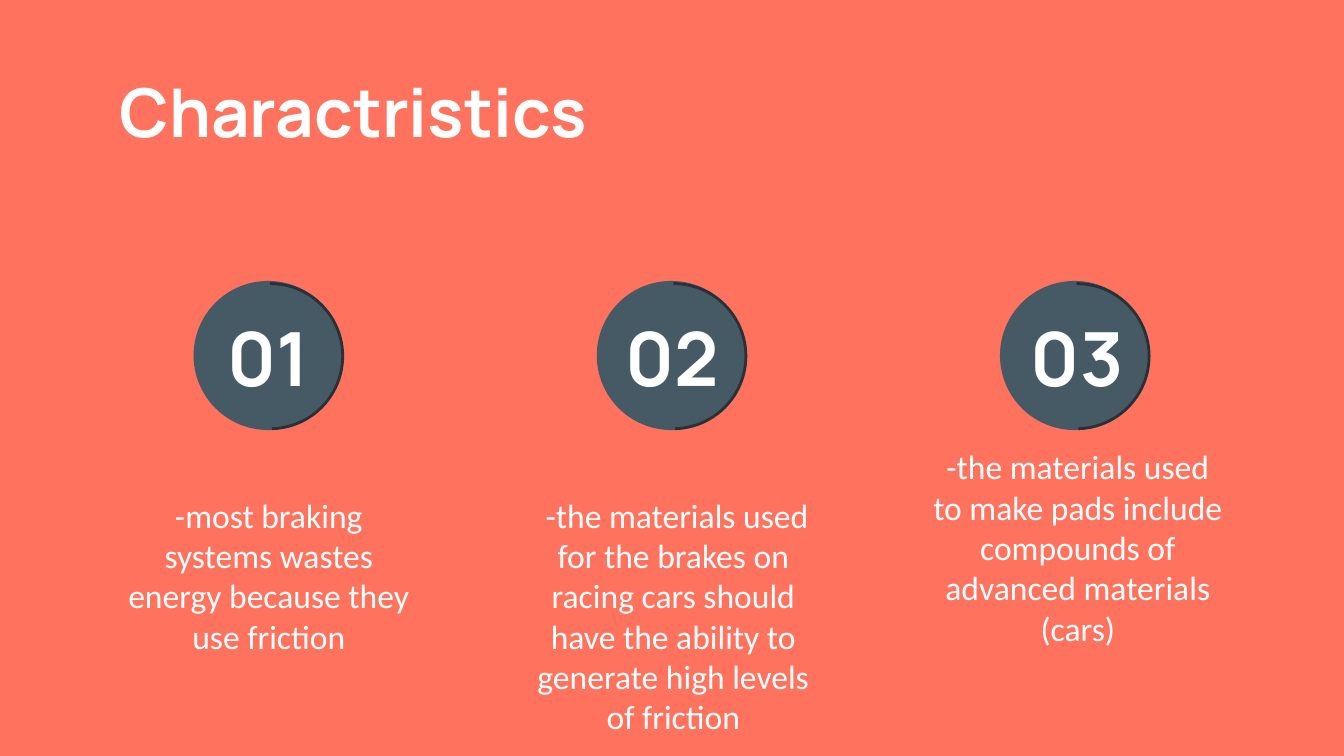
from pptx import Presentation
from pptx.dml.color import RGBColor
from pptx.enum.shapes import MSO_SHAPE
from pptx.enum.text import MSO_ANCHOR, PP_ALIGN
from pptx.util import Inches, Pt

HEADING = "Charactristics"
# number, description, top of description
CHARACTERISTICS = [
    ("01", "-most braking systems wastes energy because they use friction", 3.58),
    ("02", " -the materials used for the brakes on racing cars should have "
           "the ability to generate high levels of friction", 3.58),
    ("03", "-the materials used to make pads include compounds of "
           "advanced materials (cars)", 3.22),
]
CORAL, SLATE, DARK, WHITE = "FF725E", "455A64", "263238", "FFFFFF"
WIDTH, MARGIN = 10, 0.79
HEIGHT = WIDTH * 9 / 16
CIRCLE_LEFT, CIRCLE_PITCH = 1.44, 3
CIRCLE_TOP, CIRCLE_SIZE, ARC_SIZE = 2.09, 1.11, 1.08
NUMBER_LEFT, TEXT_PITCH = 1.51, 3.01


def color(hex_code):
    return RGBColor.from_string(hex_code)


def add_text(text, left, top, width, height, size, font, bold=False,
             align=PP_ALIGN.LEFT, anchor=MSO_ANCHOR.TOP):
    frame = slide.shapes.add_textbox(
        Inches(left), Inches(top), Inches(width), Inches(height)).text_frame
    frame.word_wrap = True
    frame.vertical_anchor = anchor
    frame.margin_left = frame.margin_right = Inches(0.1)
    frame.margin_top = frame.margin_bottom = Inches(0.1)
    paragraph = frame.paragraphs[0]
    paragraph.text = text
    paragraph.alignment = align
    paragraph.font.size = Pt(size)
    paragraph.font.name = font
    paragraph.font.bold = bold
    paragraph.font.color.rgb = color(WHITE)
    return paragraph


def add_round(kind, left, top, size):
    round_shape = slide.shapes.add_shape(
        kind, Inches(left), Inches(top), Inches(size), Inches(size))
    round_shape.shadow.inherit = False
    return round_shape


presentation = Presentation()
presentation.slide_width = Inches(WIDTH)
presentation.slide_height = Inches(HEIGHT)
slide = presentation.slides.add_slide(presentation.slide_layouts[6])
slide.background.fill.solid()
slide.background.fill.fore_color.rgb = color(CORAL)

# Heading
add_text(HEADING, MARGIN, 0.42, WIDTH - 2 * MARGIN, 0.67, 36, "Manrope", bold=True)

# One column per characteristic
for column, (number, description, description_top) in enumerate(CHARACTERISTICS):
    # Circle with a dark edge along its right half
    circle_left = CIRCLE_LEFT + column * CIRCLE_PITCH
    circle = add_round(MSO_SHAPE.OVAL, circle_left, CIRCLE_TOP, CIRCLE_SIZE)
    circle.fill.solid()
    circle.fill.fore_color.rgb = color(SLATE)
    circle.line.fill.background()
    edge = add_round(MSO_SHAPE.ARC, circle_left + 0.03, CIRCLE_TOP + 0.02, ARC_SIZE)
    edge.adjustments[0] = 162
    edge.adjustments[1] = 53.149
    edge.fill.background()
    edge.line.color.rgb = color(DARK)
    edge.line.width = Pt(1.5)

    # Number and description
    text_shift = column * TEXT_PITCH
    add_text(number, NUMBER_LEFT + text_shift, 2.27, 0.97, 0.77, 40, "Manrope",
             bold=True, align=PP_ALIGN.CENTER, anchor=MSO_ANCHOR.MIDDLE)
    body = add_text(description, MARGIN + text_shift, description_top, 2.42, 0.81,
                    18, "Calibri", align=PP_ALIGN.CENTER)
    body.space_after = Pt(16)

presentation.save("out.pptx")
